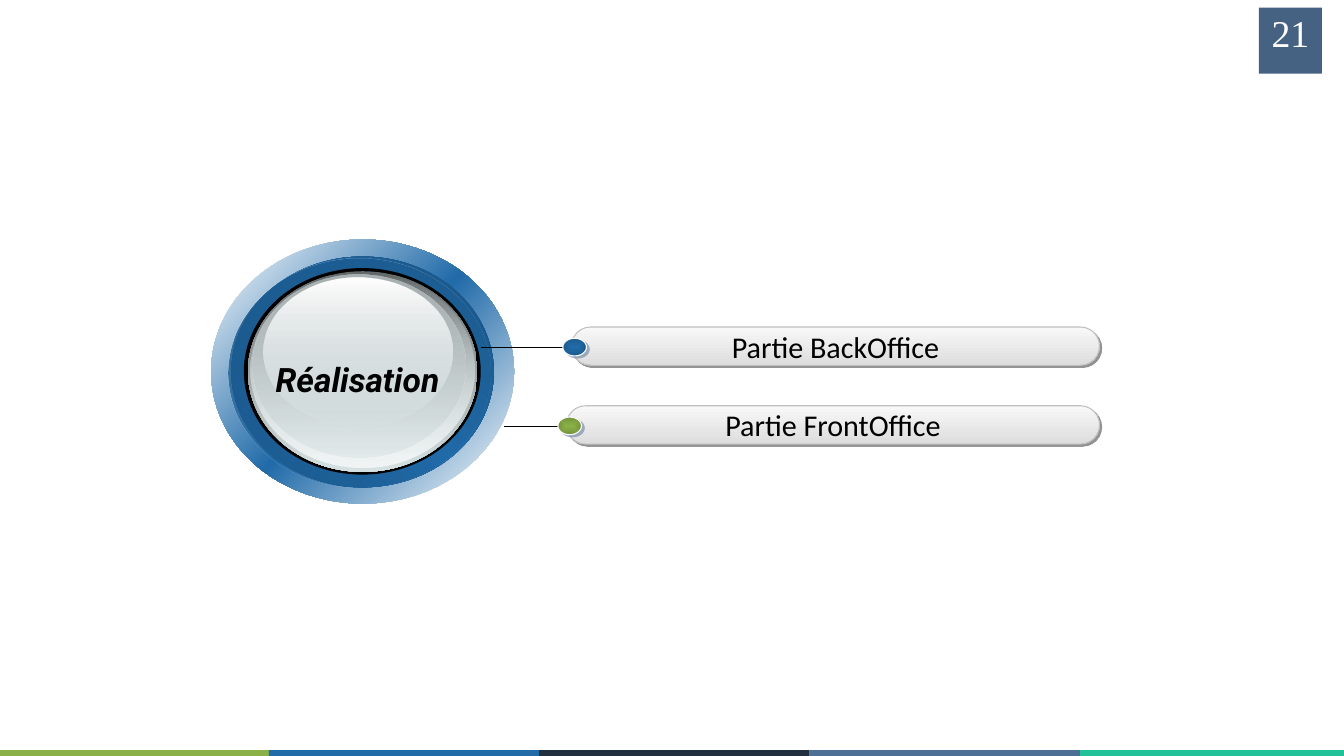
from lxml import etree
from pptx import Presentation
from pptx.dml.color import RGBColor
from pptx.enum.shapes import MSO_CONNECTOR, MSO_SHAPE
from pptx.enum.text import MSO_ANCHOR, PP_ALIGN
from pptx.oxml.ns import qn
from pptx.util import Cm, Pt

COLOURS = {
    "green": "8AB147", "dark green": "74943C", "blue": "216BA9", "dark blue": "1C5A8E",
    "rim blue": "195281", "deep blue": "1B588B", "navy": "212F3F", "slate": "4D6F96",
    "badge": "456283", "teal": "22C199", "white": "FFFFFF", "black": "000000",
    "bar top": "F8F8F8", "bar bottom": "DDDDDD", "bar edge": "C0C0C0", "bar shadow": "292929",
    "glass": "D6E1E2", "pale glass": "F1F5F5", "grey glass": "AAB2B3", "dark glass": "636869",
}
TITLE = "Réalisation"
PAGE_NUMBER = "21"
STRIPS = ["green", "blue", "navy", "slate", "teal"]
# label, bar left, line start, dot colours
PARTS = [
    ("Partie BackOffice", 28.8, 24.23, ("blue", "dark blue")),
    ("Partie FrontOffice", 28.55, 25.4, ("green", "dark green")),
]
# box, gradient stops (position, colour, opacity), angle
RINGS = [
    ((10.64, 12.07, 15.27, 13.31), [(0, "white", 100), (50, "blue", 100), (100, "white", 100)], 45),
    ((11.66, 12.93, 13.23, 11.63), [(0, "rim blue", 100), (50, "blue", 100), (100, "rim blue", 100)], 315),
    ((11.51, 13.03, 13.23, 11.53), [(0, "deep blue", 100), (100, "blue", 0)], 45),
    ((12.29, 13.51, 11.94, 10.41), "black", None),
    ((12.5, 13.67, 11.56, 10.11), [(0, "dark glass", 100), (100, "glass", 100)], 90),
    ((12.62, 13.72, 11.3, 9.86), [(0, "glass", 0), (100, "pale glass", 100)], 90),
    ((12.75, 13.82, 10.72, 9.22), [(0, "grey glass", 100), (100, "glass", 48)], 90),
    ((13.26, 13.97, 9.55, 7.47), [(0, "white", 100), (100, "glass", 38)], 90),
]
TITLE_FONT = {"name": "Roboto", "size": Pt(48), "bold": True, "italic": True}
LABEL_FONT = {"name": "Calibri", "size": Pt(43)}
NUMBER_FONT = {"name": "Times New Roman", "size": Pt(54)}
STRIP_WIDTH, STRIP_LEFT, STRIP_TOP = 13.63, -0.08, 37.8
BAR_TOP, BAR_PITCH, BAR_HEIGHT, BAR_RIGHT = 16.48, 3.97, 1.93, 55.42


def rgb(colour):
    return RGBColor.from_string(COLOURS[colour])


def add_child(parent, tag, **attributes):
    child = etree.SubElement(parent, qn(tag))
    for key, value in attributes.items():
        child.set(key, str(value))
    return child


def add_colour(parent, colour, opacity):
    element = add_child(parent, "a:srgbClr", val=COLOURS[colour])
    if opacity < 100:
        add_child(element, "a:alpha", val=opacity * 1000)


def set_gradient(shape, stops, angle):
    """Replace the solid fill by a gradient; without an angle it runs out from the centre."""
    solid = shape.element.spPr.find(qn("a:solidFill"))
    gradient = etree.Element(qn("a:gradFill"), rotWithShape="1")
    stop_list = add_child(gradient, "a:gsLst")
    for position, colour, opacity in stops:
        add_colour(add_child(stop_list, "a:gs", pos=position * 1000), colour, opacity)
    if angle is None:
        centre = add_child(gradient, "a:path", path="shape")
        add_child(centre, "a:fillToRect", l=50000, t=50000, r=50000, b=50000)
    else:
        add_child(gradient, "a:lin", ang=angle * 60000, scaled=1)
    solid.getparent().replace(solid, gradient)


def set_shadow(shape, colour, distance, angle):
    effects = shape.element.spPr.find(qn("a:effectLst"))
    shadow = add_child(effects, "a:outerShdw", dist=Pt(distance), dir=angle * 60000,
                       algn="ctr", rotWithShape=0)
    add_colour(shadow, colour, 50)


def add_filled(slide, kind, box, fill, angle=None, edge=None):
    """fill is a colour name or a list of gradient stops."""
    shape = slide.shapes.add_shape(kind, *map(Cm, box))
    shape.shadow.inherit = False
    shape.fill.solid()
    if isinstance(fill, str):
        shape.fill.fore_color.rgb = rgb(fill)
    else:
        set_gradient(shape, fill, angle)
    if edge:
        shape.line.color.rgb = rgb(edge)
        shape.line.width = Pt(1.5)
    else:
        shape.line.fill.background()
    return shape


def write(shape, text, font, colour, anchor, wrap=True):
    frame = shape.text_frame
    frame.text = text
    frame.word_wrap = wrap
    frame.vertical_anchor = anchor
    paragraph = frame.paragraphs[0]
    paragraph.alignment = PP_ALIGN.CENTER
    for key, value in font.items():
        setattr(paragraph.runs[0].font, key, value)
    paragraph.runs[0].font.color.rgb = rgb(colour)


def add_part(slide, top, label, left, line_start, dot_colours):
    line_y, dot_left = top + 1.05, left - 0.43
    line = slide.shapes.add_connector(MSO_CONNECTOR.STRAIGHT, Cm(line_start), Cm(line_y),
                                      Cm(dot_left + 0.38), Cm(line_y))
    line.line.color.rgb = rgb("black")
    line.line.width = Pt(1)
    add_child(line.element.spPr, "a:effectLst")

    bar = add_filled(slide, MSO_SHAPE.ROUNDED_RECTANGLE, (left, top, BAR_RIGHT - left, BAR_HEIGHT),
                     [(0, "bar top", 100), (100, "bar bottom", 100)], 90, "bar edge")
    bar.adjustments[0] = 0.5
    set_shadow(bar, "bar shadow", 4.2, 45)
    write(bar, label, LABEL_FONT, "black", MSO_ANCHOR.MIDDLE, wrap=False)

    inner, outer = dot_colours
    dot = add_filled(slide, MSO_SHAPE.OVAL, (dot_left, top + 0.57, 1.19, 0.89),
                     [(0, inner, 100), (100, outer, 100)], edge="white")
    set_shadow(dot, "slate", 5, 37)


def main():
    deck = Presentation()
    deck.slide_width, deck.slide_height = Cm(67.74), Cm(38.1)
    slide = deck.slides.add_slide(deck.slide_layouts[5])

    for index, colour in enumerate(STRIPS):
        add_filled(slide, MSO_SHAPE.RECTANGLE,
                   (STRIP_LEFT + index * STRIP_WIDTH, STRIP_TOP, STRIP_WIDTH, 0.51), colour)
    for box, fill, angle in RINGS:
        add_filled(slide, MSO_SHAPE.OVAL, box, fill, angle)

    title = slide.shapes.title
    title.left, title.top, title.width, title.height = map(Cm, (12.14, 17.93, 11.76, 2.31))
    write(title, TITLE, TITLE_FONT, "black", MSO_ANCHOR.MIDDLE)
    title.element.getparent().append(title.element)  # bring in front of the rings

    for index, part in enumerate(PARTS):
        add_part(slide, BAR_TOP + index * BAR_PITCH, *part)

    badge = add_filled(slide, MSO_SHAPE.RECTANGLE, (63.45, 0.38, 3.18, 3.33), "badge")
    write(badge, PAGE_NUMBER, NUMBER_FONT, "white", MSO_ANCHOR.TOP)
    deck.save("out.pptx")


if __name__ == "__main__":
    main()
